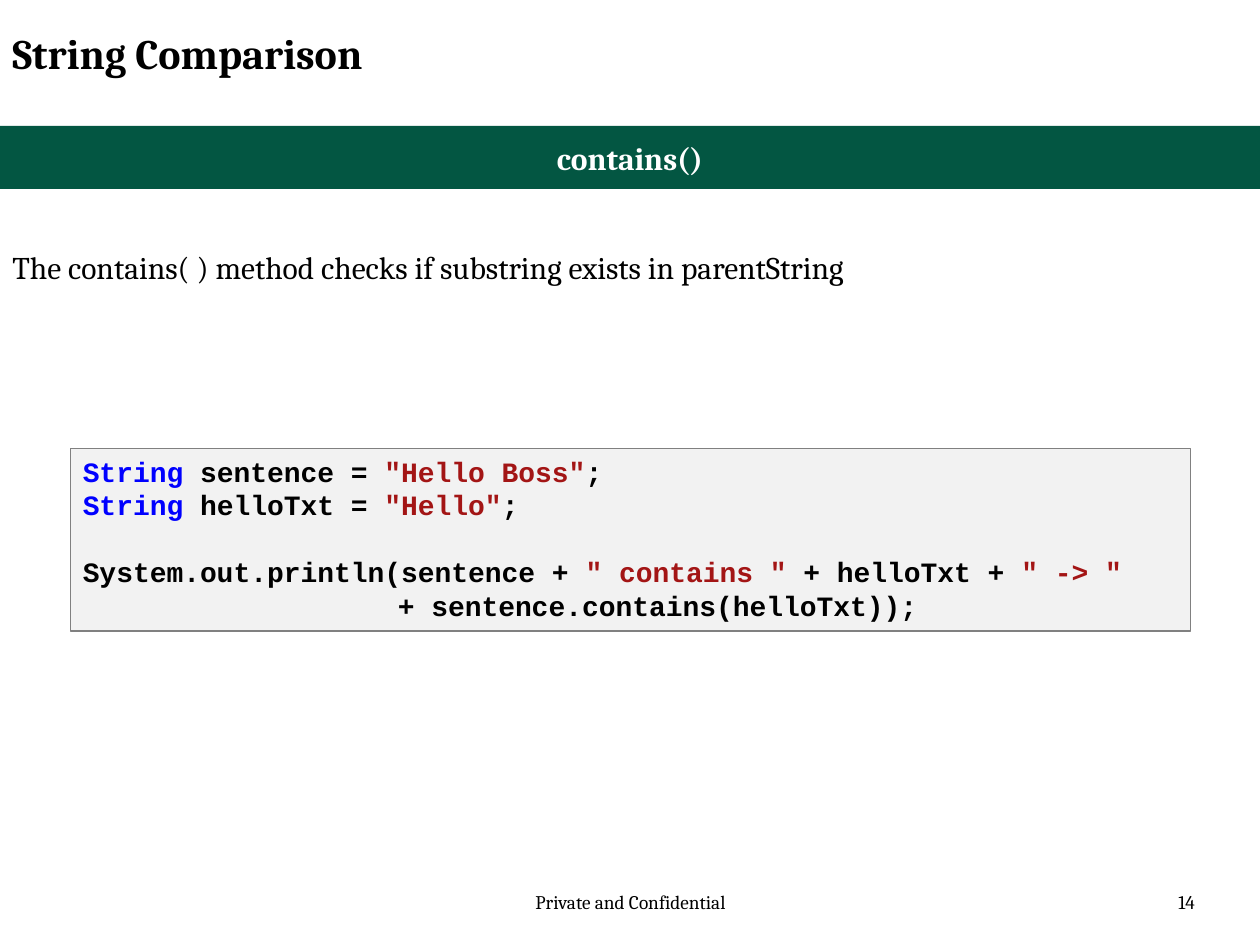
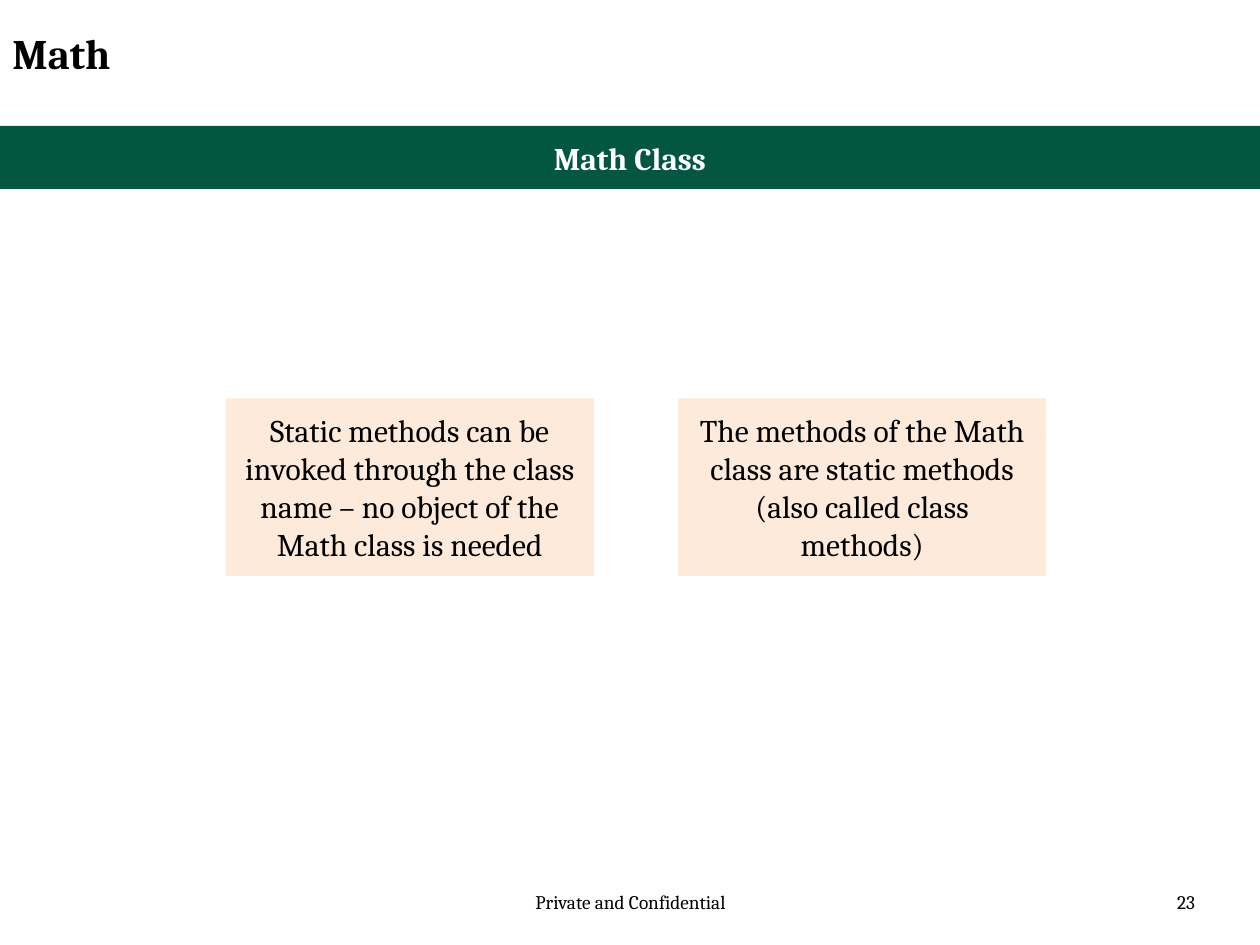
from dataclasses import dataclass

from pptx import Presentation
from pptx.dml.color import RGBColor
from pptx.enum.shapes import MSO_SHAPE
from pptx.enum.text import MSO_ANCHOR, PP_ALIGN
from pptx.shapes.autoshape import Shape
from pptx.slide import Slide
from pptx.util import Cm, Pt

RECT = MSO_SHAPE.RECTANGLE
LEFT, CENTER, RIGHT = PP_ALIGN.LEFT, PP_ALIGN.CENTER, PP_ALIGN.RIGHT
TOP, MIDDLE = MSO_ANCHOR.TOP, MSO_ANCHOR.MIDDLE

# Shared colours and fonts
BLACK, WHITE = "000000", "FFFFFF"
GREEN, PEACH = "035642", "FDEADA"
PALE, GREY = "F2F2F2", "808080"
BLUE, RED = "0000FF", "A31515"
SERIF, MONO = "Cambria", "Courier New"
LEAD = 19.1  # line height of the code, in points


@dataclass(frozen=True)
class Box:
    """Place in centimetres."""
    x: float
    y: float
    w: float
    h: float


@dataclass(frozen=True)
class Style:
    size: float = 18
    color: str = BLACK
    bold: bool = False
    align: PP_ALIGN = LEFT
    font: str = SERIF


@dataclass(frozen=True)
class Line:
    """One line of code: its pieces with colours, gap above and indent."""
    bits: tuple[tuple[str, str], ...]
    gap: float = 0
    indent: float = 0


TITLE = Style(24, bold=True)
HEAD = Style(color=WHITE, bold=True, align=CENTER)
BODY = Style()
CARD = Style(align=CENTER)
FOOT = Style(11, align=CENTER)
PAGE = Style(11, align=RIGHT)

CODE = (
    Line((("String", BLUE), (" sentence = ", BLACK),
          ('"Hello Boss"', RED), (";", BLACK))),
    Line((("String", BLUE), (" helloTxt = ", BLACK),
          ('"Hello"', RED), (";", BLACK))),
    Line((("System.out.println(sentence + ", BLACK), ('" contains "', RED),
          (" + helloTxt + ", BLACK), ('" -> "', RED)), gap=LEAD),
    Line((("+ sentence.contains(helloTxt));", BLACK),), indent=6.35),
)
CARDS = (
    "Static methods can be invoked through the class name – "
    "no object of the Math class is needed",
    "The methods of the Math class are static methods "
    "(also called class methods)",
)


def rgb(code: str) -> RGBColor:
    return RGBColor.from_string(code)


def place(box: Box) -> tuple[Cm, Cm, Cm, Cm]:
    return Cm(box.x), Cm(box.y), Cm(box.w), Cm(box.h)


def set_font(run, style: Style, color: str) -> None:
    font = run.font
    font.name, font.size, font.bold = style.font, Pt(style.size), style.bold
    font.color.rgb = rgb(color)


def write(shape: Shape, text: str, style: Style) -> None:
    frame = shape.text_frame
    frame.word_wrap = True
    frame.text = text
    for para in frame.paragraphs:
        para.alignment = style.align
        for run in para.runs:
            set_font(run, style, style.color)


def add_text(slide: Slide, box: Box, text: str, style: Style) -> None:
    write(slide.shapes.add_textbox(*place(box)), text, style)


def add_rect(slide: Slide, box: Box, fill: str, line: str = "") -> Shape:
    shape = slide.shapes.add_shape(RECT, *place(box))
    shape.shadow.inherit = False
    shape.fill.solid()
    shape.fill.fore_color.rgb = rgb(fill)
    if line:
        shape.line.color.rgb = rgb(line)
        shape.line.width = Pt(0.75)
    else:
        shape.line.fill.background()
    return shape


def add_panel(slide: Slide, box: Box, fill: str, text: str,
              style: Style) -> None:
    shape = add_rect(slide, box, fill)
    frame = shape.text_frame
    frame.vertical_anchor = MIDDLE
    frame.margin_top = frame.margin_bottom = Cm(0.25)
    write(shape, text, style)


def add_code(slide: Slide, box: Box, lines: tuple[Line, ...]) -> None:
    frame = add_rect(slide, box, PALE, GREY).text_frame
    frame.word_wrap = True
    frame.vertical_anchor = TOP
    style = Style(16, bold=True, font=MONO)
    for i, line in enumerate(lines):
        para = frame.add_paragraph() if i else frame.paragraphs[0]
        para.alignment = LEFT
        para.line_spacing = Pt(LEAD)
        para.space_before = Pt(line.gap)
        if line.indent:
            para._p.get_or_add_pPr().set("marL", str(Cm(line.indent)))
        for text, color in line.bits:
            run = para.add_run()
            run.text = text
            set_font(run, style, color)


def add_page(deck, title: str, head: str, page: int) -> Slide:
    """Start a slide with the footer, title and band they all share."""
    slide = deck.slides.add_slide(deck.slide_layouts[6])
    add_text(slide, Box(8.69, 17.83, 8.05, 1.02),
             "Private and Confidential", FOOT)
    add_text(slide, Box(18.42, 17.83, 5.92, 1.02), str(page), PAGE)
    add_text(slide, Box(0, 0.43, 19.25, 1.57), title, TITLE)
    add_panel(slide, Box(0, 2.54, 25.4, 1.27), GREEN, head, HEAD)
    return slide


def main() -> None:
    deck = Presentation()
    deck.slide_width, deck.slide_height = Cm(25.4), Cm(19.05)

    # String comparison
    slide = add_page(deck, "String Comparison", "contains()", 14)
    add_text(slide, Box(0, 4.88, 24.94, 1.02),
             "The contains( ) method checks if substring exists "
             "in parentString", BODY)
    add_code(slide, Box(1.42, 9.04, 22.58, 3.68), CODE)

    # Math class
    slide = add_page(deck, "Math", "Math Class", 23)
    for i, text in enumerate(CARDS):
        add_panel(slide, Box(4.55 + 9.12 * i, 8.03, 7.42, 3.58),
                  PEACH, text, CARD)

    deck.save("out.pptx")


if __name__ == "__main__":
    main()
